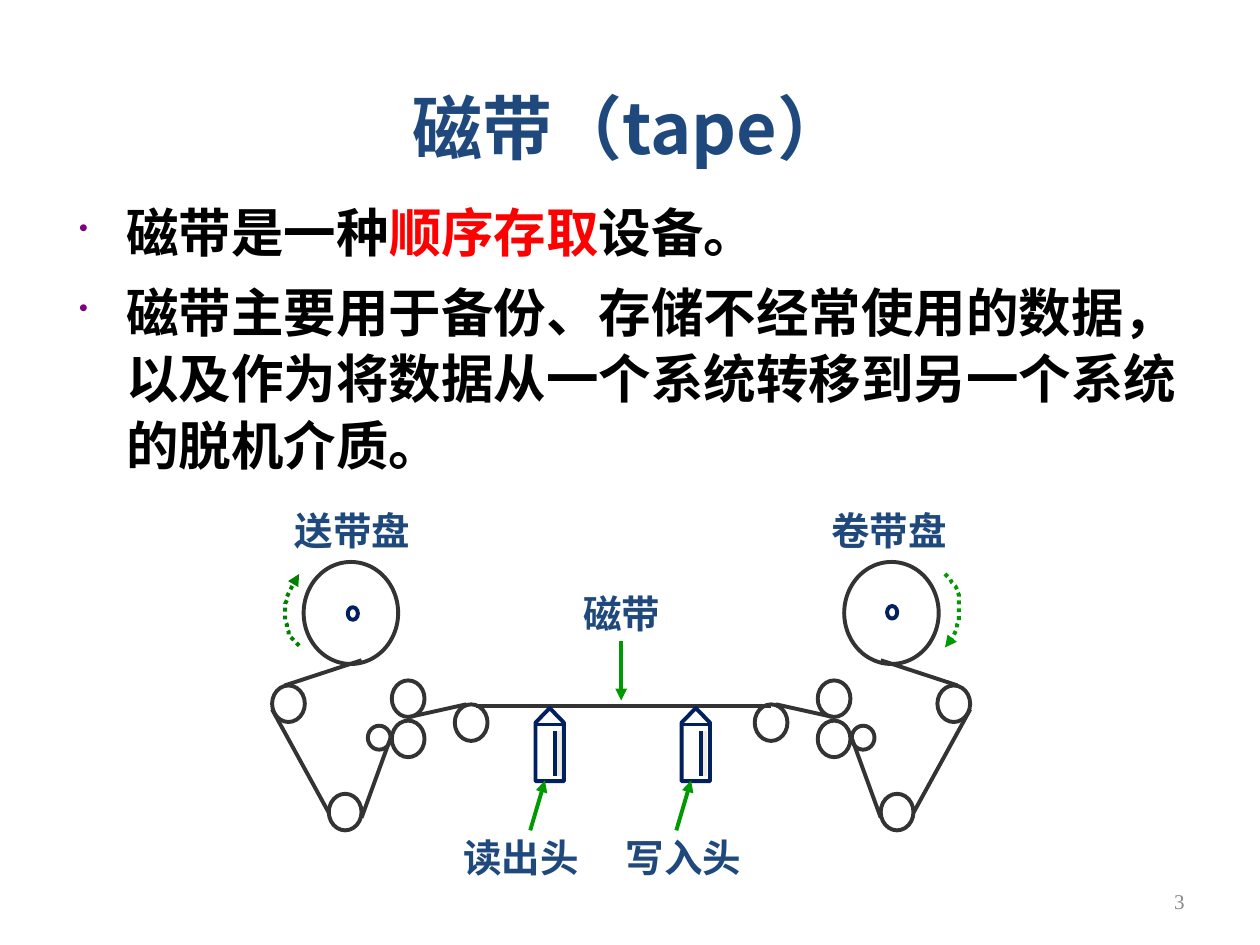
"""Build a slide on magnetic tape with a diagram of a tape drive."""
from typing import NamedTuple

from lxml import etree
from pptx import Presentation, util as u
from pptx.dml.color import RGBColor
from pptx.enum import dml, shapes, text
from pptx.oxml import ns

NAVY = RGBColor(0x00, 0x20, 0x60)
BLUE = RGBColor(0x1F, 0x49, 0x7D)
DARK = RGBColor(0x33, 0x33, 0x33)
PALE = RGBColor(0xEE, 0xEC, 0xE1)
GREY = RGBColor(0x89, 0x89, 0x89)
GREEN = RGBColor(0x00, 0x99, 0x00)
DEEP = RGBColor(0x00, 0x80, 0x00)
BLACK = RGBColor(0x00, 0x00, 0x00)
RED = RGBColor(0xFF, 0x00, 0x00)
WHITE = RGBColor(0xFF, 0xFF, 0xFF)
SANS, SANS_JP, SERIF = "Noto Sans CJK SC", "Noto Sans CJK JP", "Times New Roman"
AXIS = 709.9
FORM = shapes.MSO_SHAPE
ALIGN = text.PP_ALIGN
MIDDLE = text.MSO_ANCHOR.MIDDLE


class Box(NamedTuple):
    left: float
    top: float
    width: float
    height: float

    def flip(self) -> "Box":
        return self._replace(left=AXIS - self.left - self.width)


class Wire(NamedTuple):
    x1: float
    y1: float
    x2: float
    y2: float

    def flip(self) -> "Wire":
        return Wire(AXIS - self.x1, self.y1, AXIS - self.x2, self.y2)


class Run(NamedTuple):
    words: str
    size: float
    color: RGBColor
    face: str = SANS
    bold: bool = True


class Label(NamedTuple):
    words: str
    left: float
    top: float
    width: float


ROLLS = [
    Box(173.5, 321.1, 54, 58.3),
    *(Box(x, y, 18.7, 20.9) for x, y in
      [(155.5, 391.7), (187.9, 453.6), (223.9, 388.8), (223.9, 411.8), (259.9, 402.5)]),
    Box(210.2, 414.7, 13, 13.7),
]
WIRES = [
    Wire(206.6, 377.3, 162.7, 391.7),
    Wire(155.5, 405.4, 187.9, 464.4),
    Wire(206.6, 467.3, 223.9, 419.8),
    Wire(234, 409.7, 266.4, 402.5),
]
LABELS = [
    Label("读出头", 257.8, 471.6, 82.1),
    Label("写入头", 350.6, 471.6, 85.7),
    Label("磁带", 326.2, 331.9, 67.7),
    Label("送带盘", 161.3, 284.4, 85),
    Label("卷带盘", 468, 284.4, 90),
]
HUBS = [Box(198.7, 347, 5.8, 7.2), Box(506.9, 346.3, 5.8, 7.2)]
TURN = [(171.4, 369.4), (167.8, 366.5), (165.6, 364.3), (164.2, 359.3), (162.7, 355),
        (162.7, 346.3), (164.2, 340.6), (165.6, 335.5), (169.9, 329.8), (171.4, 327.6)]


def add_tag(host, tag: str, **attrs: str):
    return etree.SubElement(host, ns.qn(tag), **attrs)


def add_tip(item) -> None:
    add_tag(item.line._get_or_add_ln(), "a:tailEnd", type="triangle")


def draw_shape(slide, form, box: Box, color: RGBColor):
    item = slide.shapes.add_shape(form, *map(u.Pt, box))
    item.shadow.inherit = False
    item.fill.solid()
    item.fill.fore_color.rgb = WHITE
    item.line.color.rgb = color
    item.line.width = u.Pt(2.25)
    return item


def draw_wire(slide, wire: Wire, color: RGBColor = DARK, tip: bool = False) -> None:
    item = slide.shapes.add_connector(shapes.MSO_CONNECTOR.STRAIGHT, *map(u.Pt, wire))
    item.line.color.rgb = color
    item.line.width = u.Pt(2.25)
    if tip:
        add_tip(item)
    add_tag(item._element.spPr, "a:effectLst")


def trace(knots: list, steps: int = 8) -> list:
    dots = [knots[0]]
    for i in range(0, len(knots) - 1, 3):
        part = knots[i:i + 4]
        for n in range(1, steps + 1):
            t = n / steps
            rates = ((1 - t) ** 3, 3 * t * (1 - t) ** 2, 3 * t * t * (1 - t), t ** 3)
            dots.append(tuple(sum(r * p[k] for r, p in zip(rates, part)) for k in (0, 1)))
    return dots


def draw_turn(slide, knots: list, color: RGBColor) -> None:
    first, *rest = trace(knots)
    pen = slide.shapes.build_freeform(*first, scale=float(u.Pt(1)))
    pen.add_line_segments(rest, close=False)
    item = pen.convert_to_shape()
    item.shadow.inherit = False
    item.fill.background()
    item.line.color.rgb = color
    item.line.width = u.Pt(2.25)
    item.line.dash_style = dml.MSO_LINE.ROUND_DOT
    add_tip(item)


def add_frame(slide, box: Box, anchor=text.MSO_ANCHOR.TOP):
    frame = slide.shapes.add_textbox(*map(u.Pt, box)).text_frame
    frame.word_wrap = True
    frame.vertical_anchor = anchor
    return frame


def add_runs(para, runs: list, align=ALIGN.LEFT) -> None:
    para.alignment = align
    for run in runs:
        part = para.add_run()
        part.text = run.words
        font = part.font
        font.name, font.size, font.bold = run.face, u.Pt(run.size), run.bold
        font.color.rgb = run.color
        east = SANS if run.face == SERIF else run.face
        add_tag(part._r.get_or_add_rPr(), "a:ea", typeface=east)


def add_point(para, runs: list, gap: float) -> None:
    add_runs(para, runs)
    para.line_spacing = u.Pt(38)
    para.space_before = u.Pt(gap)
    props = para._p.get_or_add_pPr()
    props.set("marL", str(u.Pt(27)))
    props.set("indent", str(-u.Pt(27)))
    add_tag(add_tag(props, "a:buClr"), "a:srgbClr", val="800080")
    add_tag(props, "a:buSzPct", val="50000")
    add_tag(props, "a:buChar", char="•")


def draw_head(slide, left: float) -> None:
    item = draw_shape(slide, FORM.FLOWCHART_OFFPAGE_CONNECTOR, Box(left, 404.6, 16.2, 41.8), NAVY)
    item.rotation = 180
    for shift, color in ((13.2, PALE), (10.9, NAVY)):
        draw_wire(slide, Wire(left + shift, 417.6, left + shift, 443.5), color)
    draw_wire(slide, Wire(left - 0.3, 414, left + 16.4, 414), NAVY)
    draw_wire(slide, Wire(left - 3, 474.5, left + 5.4, 446), GREEN, tip=True)


def draw_drive(slide) -> None:
    for roll in ROLLS:
        for box in (roll, roll.flip()):
            draw_shape(slide, FORM.OVAL, box, DARK)
    for wire in WIRES:
        for side in (wire, wire.flip()):
            draw_wire(slide, side)
    draw_wire(slide, Wire(272.2, 403.2, 440.6, 403.2))
    for left in (306, 389.5):
        draw_head(slide, left)
    draw_wire(slide, Wire(355, 366.5, 355, 400.3), GREEN, tip=True)
    for hub in HUBS:
        draw_shape(slide, FORM.OVAL, hub, NAVY)
    draw_turn(slide, TURN, DEEP)
    draw_turn(slide, [(711.4 - x, 697.7 - y) for x, y in TURN], GREEN)
    for label in LABELS:
        para = add_frame(slide, Box(label.left, label.top, label.width, 33.1)).paragraphs[0]
        add_runs(para, [Run(label.words, 22, BLUE, SERIF)], ALIGN.JUSTIFY)
        para.line_spacing = u.Pt(28)


def main() -> None:
    deck = Presentation()
    deck.slide_width, deck.slide_height = u.Pt(720), u.Pt(540)
    slide = deck.slides.add_slide(deck.slide_layouts[6])
    title = add_frame(slide, Box(36, 36, 648, 72.7), MIDDLE)
    add_runs(title.paragraphs[0], [Run("磁带（tape）", 40, BLUE, SANS_JP)], ALIGN.CENTER)
    body = add_frame(slide, Box(38.2, 105.8, 648, 204.5))
    body.margin_top = u.Pt(6.5)
    add_point(body.paragraphs[0], [Run("磁带是一种", 30, BLACK), Run("顺序存取", 30, RED),
                                   Run("设备。", 30, BLACK)], 0)
    use = "磁带主要用于备份、存储不经常使用的数据，以及作为将数据从一个系统转移到另一个系统的脱机介质。"
    add_point(body.add_paragraph(), [Run(use, 30, BLACK)], 7.5)
    page = add_frame(slide, Box(516.2, 500.4, 167.8, 28.8), MIDDLE)
    add_runs(page.paragraphs[0], [Run("3", 12, GREY, SERIF, False)], ALIGN.RIGHT)
    draw_drive(slide)
    deck.save("out.pptx")


if __name__ == "__main__":
    main()
